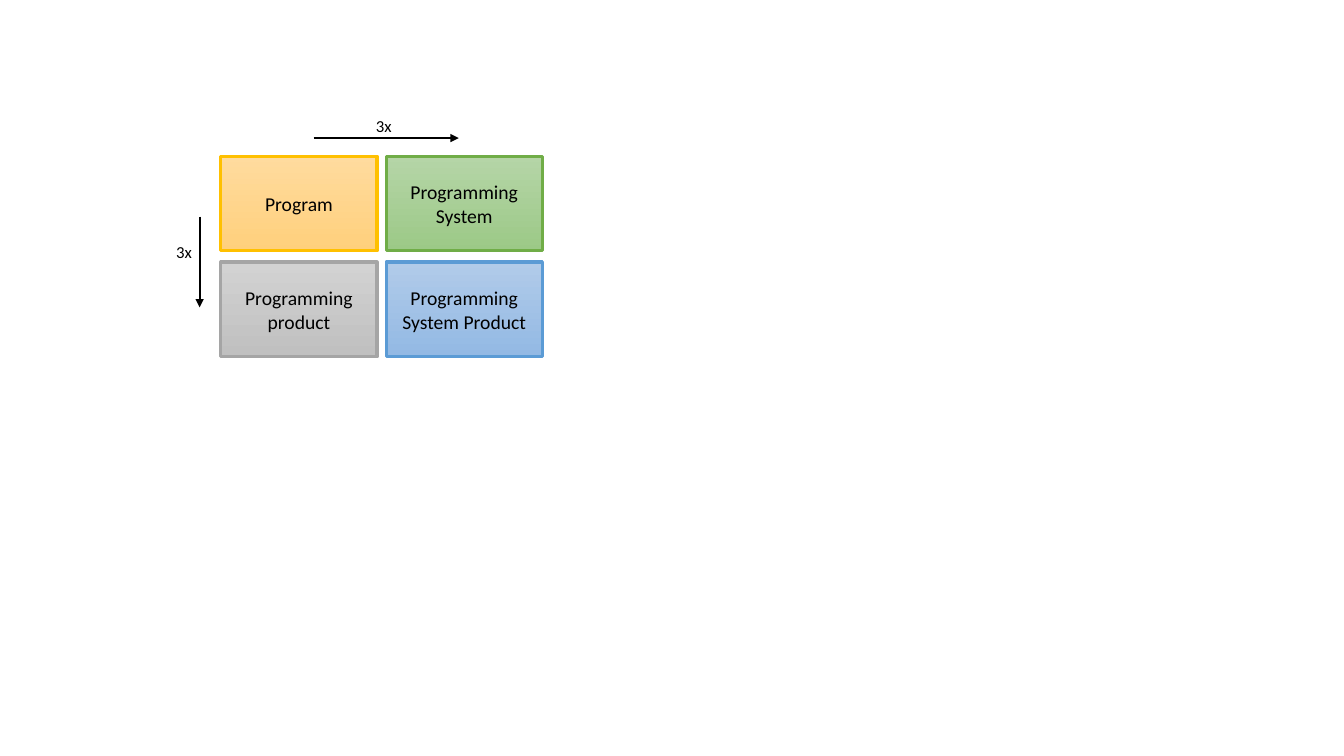
"""Build a slide showing how a program grows into a programming system product."""
from lxml import etree
from pptx import Presentation
from pptx.dml.color import RGBColor
from pptx.enum.shapes import MSO_CONNECTOR, MSO_SHAPE
from pptx.enum.text import MSO_ANCHOR, PP_ALIGN
from pptx.oxml.ns import qn
from pptx.util import Inches, Pt

RECTANGLE, STRAIGHT = MSO_SHAPE.RECTANGLE, MSO_CONNECTOR.STRAIGHT
MIDDLE, CENTER = MSO_ANCHOR.MIDDLE, PP_ALIGN.CENTER
BLACK = RGBColor(0, 0, 0)
GOLD, GOLD_TOP, GOLD_BOTTOM = map(RGBColor.from_string, ("FFC000", "FFDB9E", "FFD07C"))
GREEN, GREEN_TOP, GREEN_BOTTOM = map(RGBColor.from_string, ("70AD47", "B5D5A7", "9CC987"))
GRAY, GRAY_TOP, GRAY_BOTTOM = map(RGBColor.from_string, ("A5A5A5", "D2D2D2", "C0C0C0"))
BLUE, BLUE_TOP, BLUE_BOTTOM = map(RGBColor.from_string, ("5B9BD5", "B1CBE9", "93B9E4"))

STAGES = [
    [("Program", GOLD, GOLD_TOP, GOLD_BOTTOM),
     ("Programming System", GREEN, GREEN_TOP, GREEN_BOTTOM)],
    [("Programming product", GRAY, GRAY_TOP, GRAY_BOTTOM),
     ("Programming System Product", BLUE, BLUE_TOP, BLUE_BOTTOM)],
]
EFFORTS = [
    ("3x", (3.03, 1.07), (3.11, 1.37), (4.55, 1.37)),
    ("3x", (1.05, 2.32), (1.98, 2.15), (1.98, 3.05)),
]
LEFT, TOP = 2.19, 1.55
STAGE_WIDTH, STAGE_HEIGHT, LABEL_HEIGHT = 1.55, 0.94, 0.36
COLUMN_STEP, ROW_STEP = 1.64, 1.05


def write(frame, text, size):
    frame.word_wrap = True
    frame.vertical_anchor = MIDDLE
    paragraph = frame.paragraphs[0]
    paragraph.alignment = CENTER
    run = paragraph.add_run()
    run.text = text
    for name, value in {"name": "Calibri", "size": Pt(size)}.items():
        setattr(run.font, name, value)
    run.font.color.rgb = BLACK


def add_stage(slide, column, row, text, border, top, bottom):
    stage = slide.shapes.add_shape(
        RECTANGLE, Inches(LEFT + column * COLUMN_STEP), Inches(TOP + row * ROW_STEP),
        Inches(STAGE_WIDTH), Inches(STAGE_HEIGHT))
    stage.shadow.inherit = False
    stage.fill.gradient()
    stage.fill.gradient_angle = 270
    for stop, color in zip(stage.fill.gradient_stops, (top, bottom)):
        stop.color.rgb = color
    stage.line.color.rgb = border
    stage.line.width = Pt(2.25)
    write(stage.text_frame, text, 14)


def add_effort(slide, text, corner, start, end):
    label = slide.shapes.add_textbox(
        *map(Inches, corner), Inches(STAGE_WIDTH), Inches(LABEL_HEIGHT))
    write(label.text_frame, text, 12)
    arrow = slide.shapes.add_connector(STRAIGHT, *map(Inches, start + end))
    arrow.line.color.rgb = BLACK
    arrow.line.width = Pt(1.5)
    etree.SubElement(arrow.line._get_or_add_ln(), qn("a:tailEnd"), type="triangle")
    etree.SubElement(arrow._element.spPr, qn("a:effectLst"))


presentation = Presentation()
presentation.slide_width, presentation.slide_height = Inches(13.33), Inches(7.5)
slide = presentation.slides.add_slide(presentation.slide_layouts[6])
for row, stages in enumerate(STAGES):
    for column, stage in enumerate(stages):
        add_stage(slide, column, row, *stage)
for effort in EFFORTS:
    add_effort(slide, *effort)
presentation.save("out.pptx")
